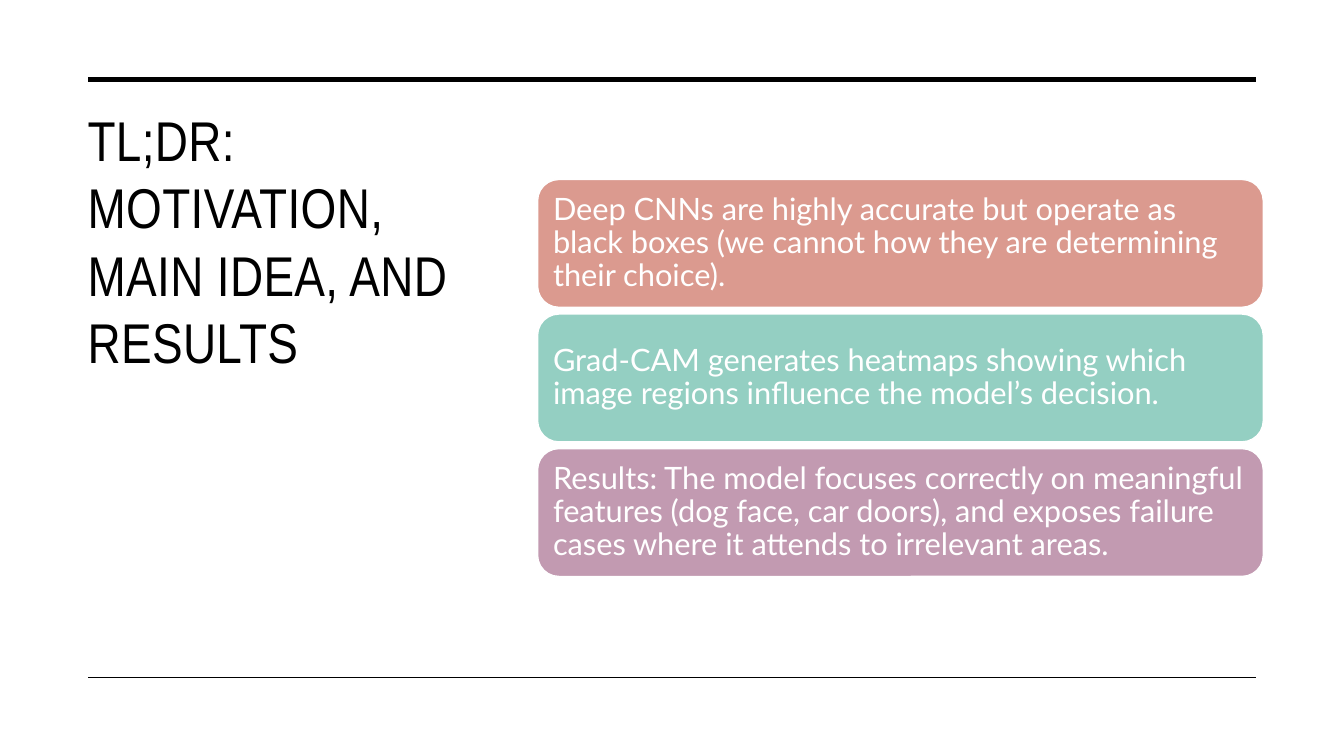
from dataclasses import dataclass

from lxml import etree
from pptx import Presentation
from pptx.dml.color import RGBColor
from pptx.enum.shapes import MSO_CONNECTOR, MSO_SHAPE
from pptx.enum.text import MSO_ANCHOR, PP_ALIGN
from pptx.oxml.ns import qn
from pptx.util import Pt

LINE = MSO_CONNECTOR.STRAIGHT
ROUND = MSO_SHAPE.ROUNDED_RECTANGLE
TOP, MIDDLE = MSO_ANCHOR.TOP, MSO_ANCHOR.MIDDLE
LEFT = PP_ALIGN.LEFT


@dataclass(frozen=True)
class Theme:
    ink: str = "000000"
    paper: str = "FFFFFF"
    fills: tuple = ("DB9A8F", "94CFC2", "C29AB1")
    head_font: str = "Arial Narrow"
    body_font: str = "Lato"
    head_size: float = 40
    body_size: float = 22


THEME = Theme()
TITLE = "TL;DR: MOTIVATION, MAIN IDEA, AND RESULTS"
POINTS = (
    "Deep CNNs are highly accurate but operate as black boxes "
    "(we cannot how they are determining their choice).",
    "Grad-CAM generates heatmaps showing which image regions "
    "influence the model’s decision.",
    "Results: The model focuses correctly on meaningful features "
    "(dog face, car doors), and exposes failure cases where it attends "
    "to irrelevant areas.",
)


def rgb(code):
    return RGBColor.from_string(code)


def write(shape, text, *, font, size, color, anchor=TOP, pad=(7.2, 3.6),
          leading=1.0, track=0):
    """Fill a shape with one paragraph; track is letter spacing in points."""
    frame = shape.text_frame
    frame.word_wrap = True
    frame.vertical_anchor = anchor
    frame.margin_left = frame.margin_right = Pt(pad[0])
    frame.margin_top = frame.margin_bottom = Pt(pad[1])
    para = frame.paragraphs[0]
    para.alignment = LEFT
    para.line_spacing = leading
    run = para.add_run()
    run.text = text
    run.font.name = font
    run.font.size = Pt(size)
    run.font.color.rgb = rgb(color)
    if track:
        run.font._element.set("spc", str(round(track * 100)))


def rule(shapes, left, top, width, weight):
    line = shapes.add_connector(LINE, Pt(left), Pt(top), Pt(left + width), Pt(top))
    line.line.color.rgb = rgb(THEME.ink)
    line.line.width = Pt(weight)
    etree.SubElement(line._element.spPr, qn("a:effectLst"))


def frame_rules(shapes, left, top, width, height):
    """Draw a heavy rule above the content and a thin one below it."""
    rule(shapes, left, top, width, 3.5)
    rule(shapes, left, top + height, width, 1)


def heading(shapes, left, top, width, height):
    box = shapes.add_textbox(Pt(left), Pt(top), Pt(width), Pt(height))
    write(box, TITLE, font=THEME.head_font, size=THEME.head_size,
          color=THEME.ink, track=0.3)


def cards(shapes, left, top, width, height, gap=4.8):
    """Stack one equal card per point in the given box."""
    group = shapes.add_group_shape().shapes
    tall = (height - gap * (len(POINTS) - 1)) / len(POINTS)
    for i, (text, fill) in enumerate(zip(POINTS, THEME.fills)):
        y = top + i * (tall + gap)
        card = group.add_shape(ROUND, Pt(left), Pt(y), Pt(width), Pt(tall))
        card.shadow.inherit = False
        card.fill.solid()
        card.fill.fore_color.rgb = rgb(fill)
        card.line.color.rgb = rgb(THEME.paper)
        card.line.width = Pt(1)
        write(card, text, font=THEME.body_font, size=THEME.body_size,
              color=THEME.paper, anchor=MIDDLE, pad=(6.6, 6.6), leading=0.9)


def main():
    deck = Presentation()
    deck.slide_width, deck.slide_height = Pt(960), Pt(540)
    slide = deck.slides.add_slide(deck.slide_layouts[6])
    slide.background.fill.solid()
    slide.background.fill.fore_color.rgb = rgb(THEME.paper)
    heading(slide.shapes, 55.5, 72, 288, 419)
    frame_rules(slide.shapes, 63.2, 56.9, 834, 427)
    cards(slide.shapes, 384, 128.2, 518.4, 283.6)
    deck.save("out.pptx")


if __name__ == "__main__":
    main()
